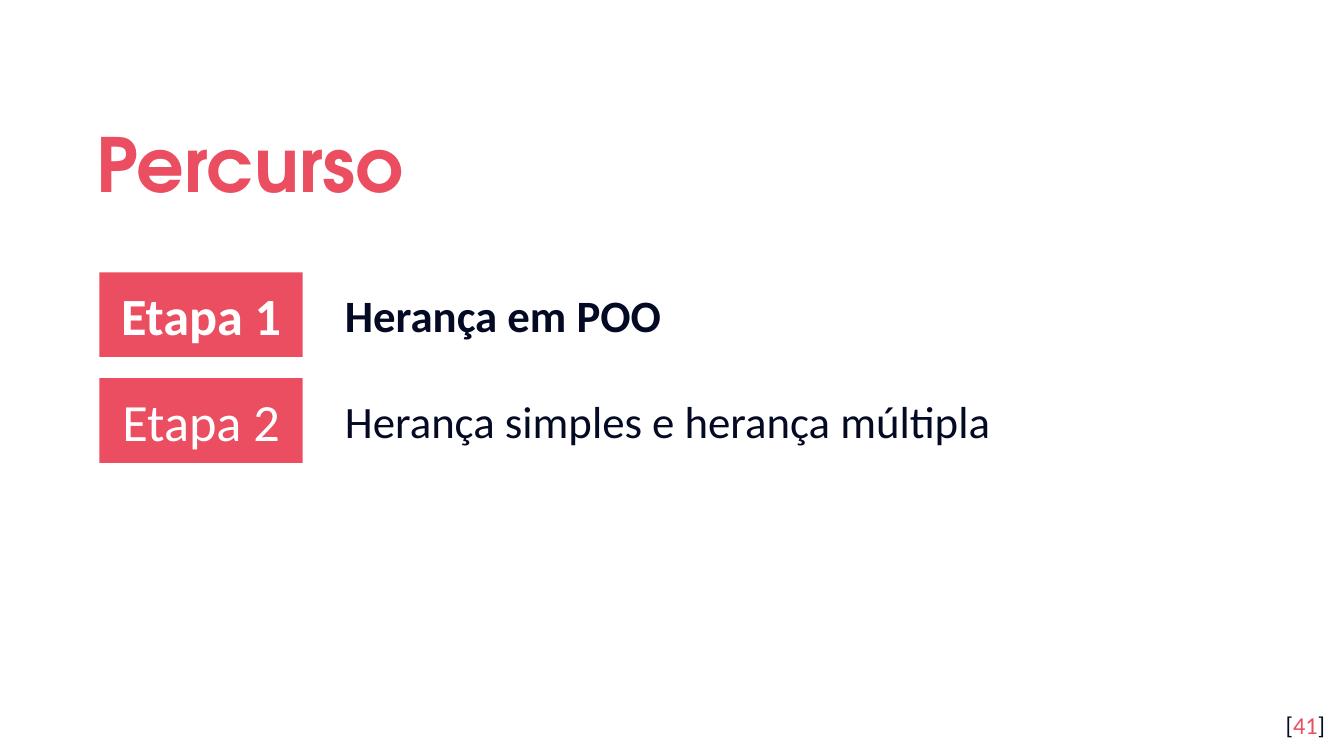
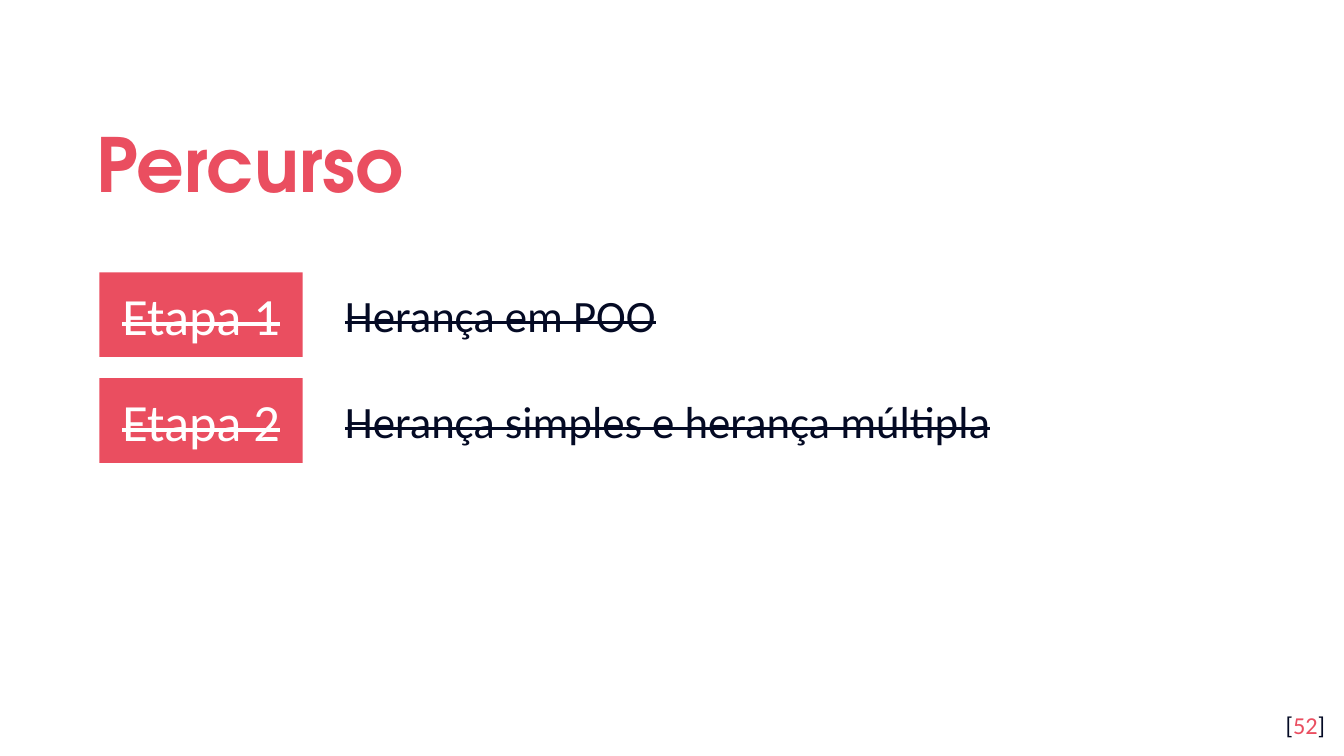
from dataclasses import dataclass

from pptx import Presentation
from pptx.dml.color import RGBColor
from pptx.enum.shapes import MSO_SHAPE as Shape
from pptx.enum.text import MSO_ANCHOR as Anchor, PP_ALIGN as Align
from pptx.util import Cm, Pt


@dataclass(frozen=True)
class Theme:
    coral: RGBColor = RGBColor(0xEA, 0x4E, 0x60)
    navy: RGBColor = RGBColor(0x04, 0x0A, 0x24)
    white: RGBColor = RGBColor(0xFF, 0xFF, 0xFF)
    title_font: str = "TeX Gyre Adventor"
    body_font: str = "Calibri"
    title_size: Pt = Pt(40)
    stage_size: Pt = Pt(28)
    topic_size: Pt = Pt(24)
    number_size: Pt = Pt(13)


class Deck:
    def __init__(self, theme):
        self.theme = theme
        self.presentation = Presentation()
        self.presentation.slide_width = Cm(25.4)
        self.presentation.slide_height = Cm(14.29)
        self.slide = None

    def new_slide(self):
        self.slide = self.presentation.slides.add_slide(self.presentation.slide_layouts[6])

    def set_text(self, holder, texts, size, color, font=None, bold=False, struck=False,
                 align=Align.LEFT, anchor=Anchor.TOP, margin=Cm(0.25)):
        frame = holder.text_frame
        frame.word_wrap = True
        frame.vertical_anchor = anchor
        frame.margin_left = frame.margin_right = Cm(0.25)
        frame.margin_top = frame.margin_bottom = margin
        paragraph = frame.paragraphs[0]
        paragraph.alignment = align
        paragraph.font.name = font or self.theme.body_font
        paragraph.font.size = size
        paragraph.font.bold = bold
        paragraph.font.color.rgb = color
        for text in texts:
            run = paragraph.add_run()
            run.text = text
            if struck:
                run._r.get_or_add_rPr().set("strike", "sngStrike")
        return paragraph

    def text_box(self, left, top, width, height):
        return self.slide.shapes.add_textbox(left, top, width, height)

    def title(self, text):
        box = self.text_box(Cm(1.57), Cm(1.78), Cm(20.57), Cm(2.34))
        heading = self.set_text(box, [text], self.theme.title_size, self.theme.coral,
                                font=self.theme.title_font, bold=True, anchor=Anchor.MIDDLE)
        heading.line_spacing = 1.15

    def stage(self, top, label, bold, struck):
        badge = self.slide.shapes.add_shape(Shape.RECTANGLE, Cm(1.88), top, Cm(3.84), Cm(1.6))
        badge.shadow.inherit = False
        badge.fill.solid()
        badge.fill.fore_color.rgb = self.theme.coral
        badge.line.fill.background()
        self.set_text(badge, [label], self.theme.stage_size, self.theme.white, bold=bold,
                      struck=struck, align=Align.CENTER, anchor=Anchor.MIDDLE)

    def topic(self, top, text, bold, struck):
        box = self.text_box(Cm(6.27), top, Cm(17.15), Cm(1.27))
        line = self.set_text(box, [text], self.theme.topic_size, self.theme.navy, bold=bold,
                             struck=struck, margin=Cm(0.13))
        hanging = line._p.get_or_add_pPr()
        hanging.set("marL", str(Cm(1.27)))
        hanging.set("indent", str(-Cm(1.27)))

    def page_number(self, number):
        box = self.text_box(Cm(23.77), Cm(13.18), Cm(1.52), Cm(1.09))
        line = self.set_text(box, ["[", str(number), "]"], self.theme.number_size,
                             self.theme.navy, align=Align.RIGHT)
        line.runs[1].font.color.rgb = self.theme.coral


TOPICS = ["Herança em POO", "Herança simples e herança múltipla"]


def add_route(deck, number, current=None, done=False):
    deck.new_slide()
    deck.title("Percurso")
    for index, topic in enumerate(TOPICS):
        top = Cm(5.15 + 2 * index)
        bold = index == current
        deck.stage(top, f"Etapa {index + 1}", bold, done)
        deck.topic(top + Cm(0.16), topic, bold, done)
    deck.page_number(number)


def main():
    deck = Deck(Theme())
    add_route(deck, 41, current=0)
    add_route(deck, 52, done=True)
    deck.presentation.save("out.pptx")


if __name__ == "__main__":
    main()
